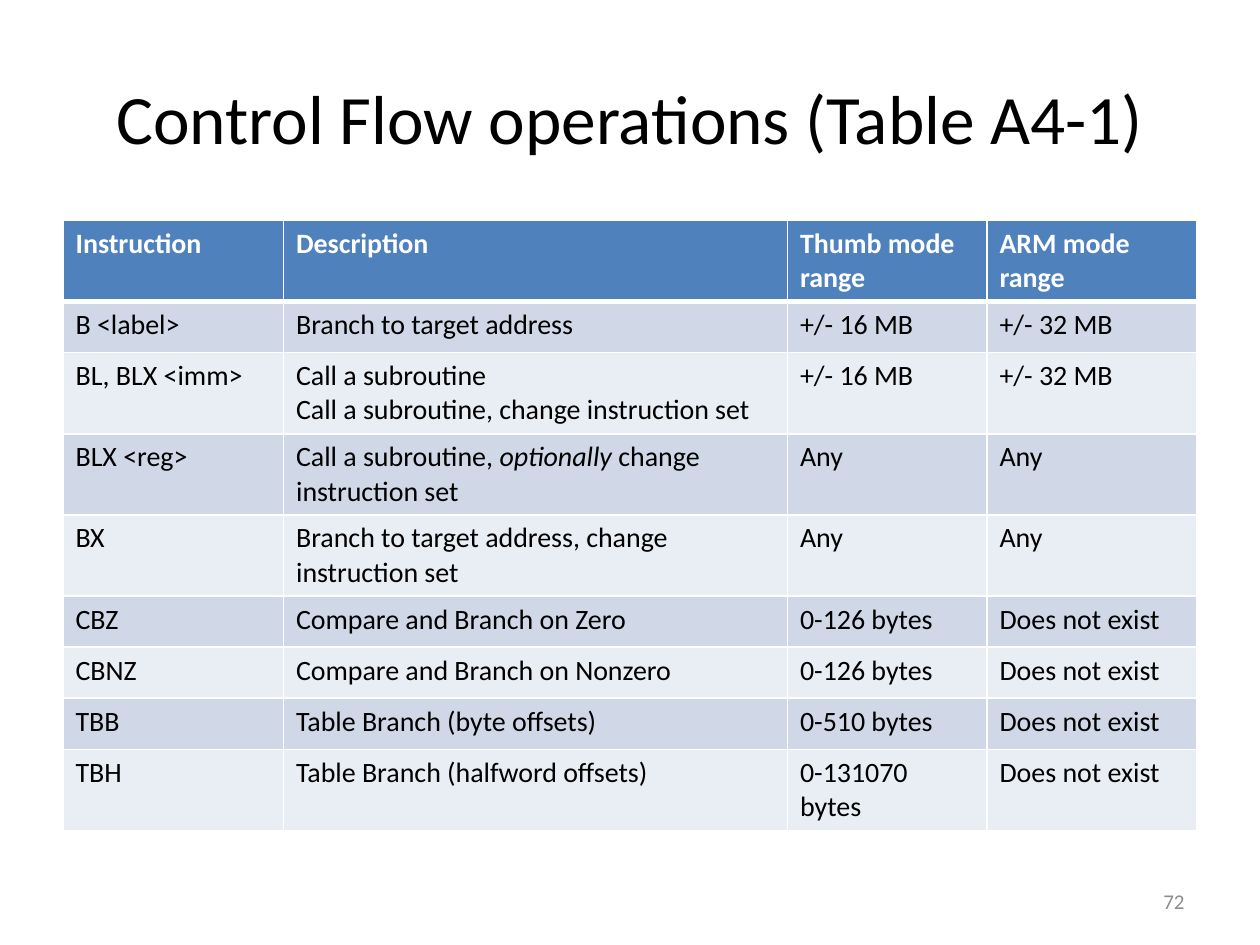
"""Build the slide on control flow operations and their branch ranges."""
import pptx
import pptx.dml.color
import pptx.enum.text
import pptx.oxml
import pptx.oxml.ns
import pptx.util

Pt = pptx.util.Pt
RGBColor = pptx.dml.color.RGBColor
ALIGN = pptx.enum.text.PP_ALIGN
MIDDLE = pptx.enum.text.MSO_ANCHOR.MIDDLE

BLACK = RGBColor(0x00, 0x00, 0x00)
WHITE = RGBColor(0xFF, 0xFF, 0xFF)
GRAY = RGBColor(0x8C, 0x8C, 0x8C)
HEADER_BLUE = RGBColor(0x4F, 0x81, 0xBD)
BANDS = (RGBColor(0xD0, 0xD8, 0xE8), RGBColor(0xE9, 0xED, 0xF4))

COLUMN_WIDTHS = (126, 288, 114, 120)
ROW_HEIGHT = 29.2
TABLE_HEIGHT = 345
ROWS = (
    ("Instruction", "Description", "Thumb mode range", "ARM mode range"),
    ("B <label>", "Branch to target address", "+/- 16 MB", "+/- 32 MB"),
    ("BL, BLX <imm>", "Call a subroutine\nCall a subroutine, change instruction set",
     "+/- 16 MB", "+/- 32 MB"),
    ("BLX <reg>", "Call a subroutine, *optionally* change instruction set", "Any", "Any"),
    ("BX", "Branch to target address, change instruction set", "Any", "Any"),
    ("CBZ", "Compare and Branch on Zero", "0-126 bytes", "Does not exist"),
    ("CBNZ", "Compare and Branch on Nonzero", "0-126 bytes", "Does not exist"),
    ("TBB", "Table Branch (byte offsets)", "0-510 bytes", "Does not exist"),
    ("TBH", "Table Branch (halfword offsets)", "0-131070 bytes", "Does not exist"),
)


class SlideBuilder:
    """Hold the style and the current slide, and add elements to it."""

    font_name = "Calibri"

    def __init__(self, presentation):
        """Add a title-only slide."""
        self.slide = presentation.slides.add_slide(presentation.slide_layouts[5])

    def fill_text(self, frame, text, color, alignment=ALIGN.LEFT, **font_values):
        """Set lines as paragraphs, with words between asterisks in italics."""
        frame.word_wrap = True
        for index, line in enumerate(text.split("\n")):
            paragraph = frame.add_paragraph() if index else frame.paragraphs[0]
            paragraph.alignment = alignment
            for part_index, part in enumerate(line.split("*")):
                run = paragraph.add_run()
                run.text = part
                run.font.color.rgb = color
                values = {"name": self.font_name, "italic": part_index % 2 == 1}
                for name, value in (values | font_values).items():
                    setattr(run.font, name, value)

    def title(self, text, left, top, width, height):
        """Place and fill the title placeholder."""
        shape = self.slide.shapes.title
        places = {"left": left, "top": top, "width": width, "height": height}
        for name, value in places.items():
            setattr(shape, name, Pt(value))
        shape.text_frame.vertical_anchor = MIDDLE
        self.fill_text(shape.text_frame, text, BLACK, ALIGN.CENTER, size=Pt(39.6))

    def page_number(self, text, left, top, width, height):
        """Add the page number in a text box."""
        shape = self.slide.shapes.add_textbox(Pt(left), Pt(top), Pt(width), Pt(height))
        shape.text_frame.vertical_anchor = MIDDLE
        self.fill_text(shape.text_frame, text, GRAY, ALIGN.RIGHT, size=Pt(12))

    def borders(self, cell, **widths):
        """Draw white borders on the four sides of a cell."""
        properties = cell._tc.get_or_add_tcPr()
        for side in "LRTB":
            width = Pt(widths.get(side, 1))
            properties.append(pptx.oxml.parse_xml(
                f'<a:ln{side} {pptx.oxml.ns.nsdecls("a")} w="{width}"><a:solidFill>'
                f'<a:srgbClr val="{WHITE}"/></a:solidFill></a:ln{side}>'))

    def table(self, rows, left, top):
        """Add a table with a header row and banded body rows."""
        shape = self.slide.shapes.add_table(
            len(rows), len(COLUMN_WIDTHS), Pt(left), Pt(top),
            Pt(sum(COLUMN_WIDTHS)), Pt(TABLE_HEIGHT))
        table = shape.table
        for column, width in zip(table.columns, COLUMN_WIDTHS):
            column.width = Pt(width)
        for row_index, texts in enumerate(rows):
            header = row_index == 0
            table.rows[row_index].height = Pt(ROW_HEIGHT)
            for cell, text in zip(table.rows[row_index].cells, texts):
                self.borders(cell, B=3 if header else 1, T=3 if row_index == 1 else 1)
                cell.fill.solid()
                cell.fill.fore_color.rgb = HEADER_BLUE if header else BANDS[(row_index - 1) % 2]
                self.fill_text(cell.text_frame, text, WHITE if header else BLACK,
                               size=Pt(16), bold=header)
        shape.height = Pt(TABLE_HEIGHT)


def main():
    """Build and save the presentation."""
    presentation = pptx.Presentation()
    presentation.slide_width, presentation.slide_height = Pt(720), Pt(540)
    builder = SlideBuilder(presentation)
    builder.title("Control Flow operations (Table A4-1)", 36, 21.6, 648, 90)
    builder.table(ROWS, 36, 126)
    builder.page_number("72", 516, 500.5, 168, 28.8)
    presentation.save("out.pptx")


if __name__ == "__main__":
    main()
